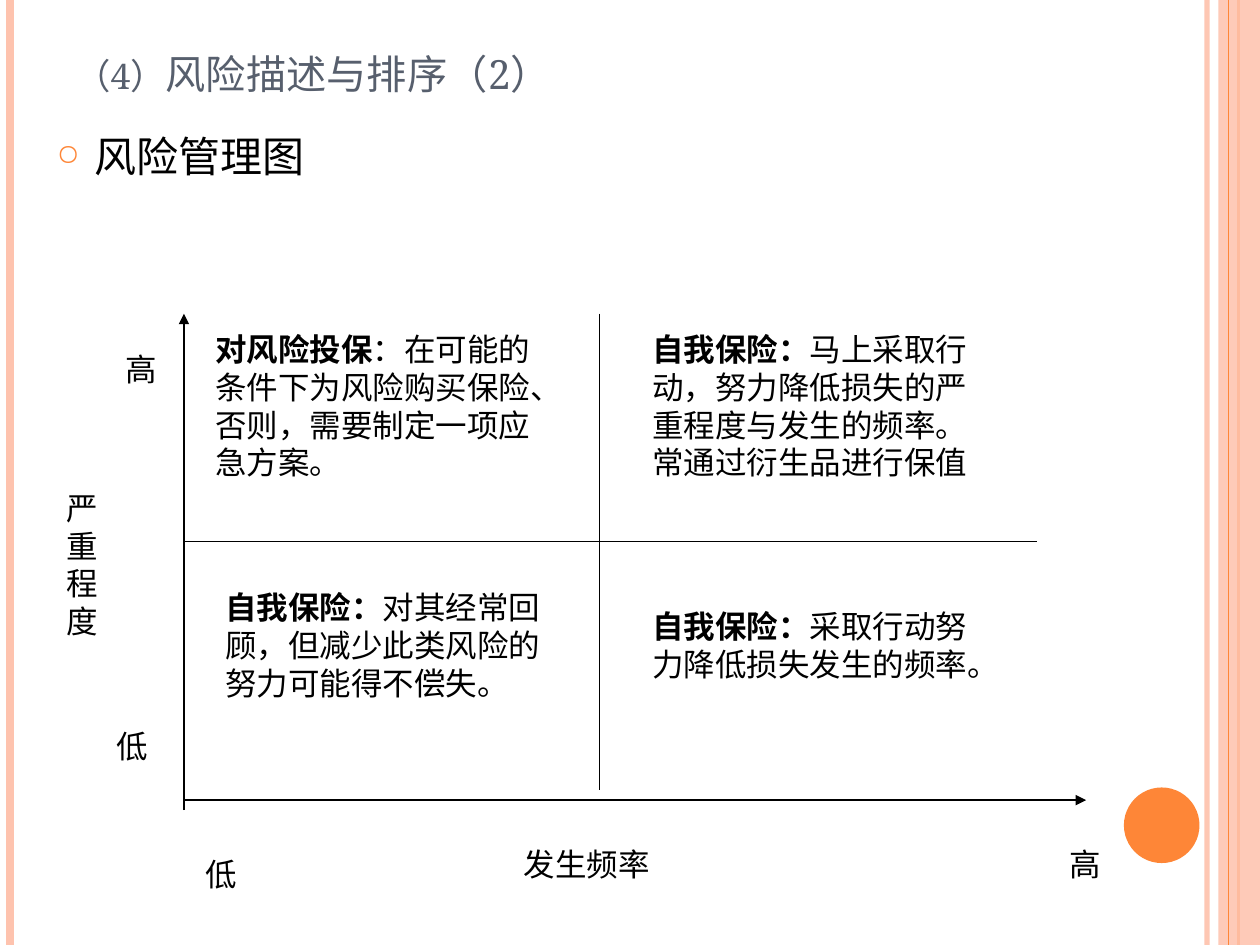
from dataclasses import dataclass
from lxml.etree import SubElement as Sub
from pptx import Presentation
from pptx.dml.color import RGBColor as Rgb
from pptx.enum.shapes import MSO_CONNECTOR as Link, MSO_SHAPE as Form
from pptx.enum.text import MSO_ANCHOR as Anchor, MSO_AUTO_SIZE as Fit
from pptx.oxml.ns import qn
from pptx.util import Inches, Pt


@dataclass(frozen=True)
class Theme:
    font: str = "Noto Serif"
    ink: str = "000000"
    head: str = "575F6D"
    bold: str = "FE8637"
    pale: str = "FEC3AE"
    small: float = 18
    large: float = 24
    lead: float = 25.2
    title: float = 28.8
    thin: float = 0.75


look = Theme()
WIDE, HIGH = 10, 7.5
COLS, ROWS = 100, 75

TITLE = [("（4）", look.lead), ("风险描述与排序（2）", look.title)]
TOPIC = "风险管理图"

LEFT, MID, BASE = 14.6, 47.6, 63.5
TOP, HALF = 24.9, 43

BARS = [
    (95.8, look.pale, 3, 93),
    (0.8, look.pale, 4.5, 100),
    (98.3, look.bold, 1.5, 100),
]
EDGE = (97.5, look.bold, look.thin, 100)
AXES = [
    (LEFT, BASE, 86.2, BASE, True),
    (LEFT, 64.3, LEFT, TOP, True),
    (LEFT, HALF, 82.3, HALF, False),
    (MID, TOP, MID, 62.7, False),
]
MARKS = [
    ("严重程度", 4.3, 38.3, 3.9, 13),
    ("高", 9, 27.3, 3.9, 4),
    ("低", 8.3, 57.2, 4.7, 4),
    ("发生频率", 40.6, 66.6, 13.4, 4),
    ("低", 15.3, 67.4, 11, 4),
    ("高", 83.9, 66.6, 3.9, 4),
]
CELLS = [
    ("对风险投保", "：在可能的条件下为风险购买保险、否则，需要制定一项应急方案。", 16.1, 25.7, 13),
    ("自我保险：", "对其经常回顾，但减少此类风险的努力可能得不偿失。", 16.9, 46.2, 10),
    ("自我保险：", "采取行动努力降低损失发生的频率。", 50.8, 47.7, 7),
    ("自我保险：", "马上采取行动，努力降低损失的严重程度与发生的频率。常通过衍生品进行保值", 50.8, 25.7, 13),
]
SPAN = 28.3

deck = Presentation()
deck.slide_width, deck.slide_height = Inches(WIDE), Inches(HIGH)
page = deck.slides.add_slide(deck.slide_layouts[6])


def place(x, y, w, h):
    return [Inches(n * size / count) for n, size, count in
            ((x, WIDE, COLS), (y, HIGH, ROWS), (w, WIDE, COLS), (h, HIGH, ROWS))]


def fade(part, alpha):
    if alpha < 100:
        tint = next(part.iter(qn("a:srgbClr")))
        Sub(tint, qn("a:alpha"), val=str(alpha * 1000))


def rule(x1, y1, x2, y2, color=look.ink, width=look.thin, alpha=100, arrow=False):
    link = page.shapes.add_connector(Link.STRAIGHT, *place(x1, y1, x2, y2))
    link.line.color.rgb = Rgb.from_string(color)
    link.line.width = Pt(width)
    props = link._element.spPr
    fade(props, alpha)
    if arrow:
        Sub(props.find(qn("a:ln")), qn("a:tailEnd"), type="triangle")
    Sub(props, qn("a:effectLst"))


def solid(form, box, color, alpha=100):
    shape = page.shapes.add_shape(form, *place(*box))
    shape.shadow.inherit = False
    shape.fill.solid()
    shape.fill.fore_color.rgb = Rgb.from_string(color)
    shape.line.fill.background()
    fade(shape._element.spPr, alpha)


def write(box, runs, size=look.small, color=look.ink, fit=Fit.NONE):
    frame = page.shapes.add_textbox(*place(*box)).text_frame
    frame.word_wrap = True
    frame.auto_size = fit
    para = frame.paragraphs[0]
    para.font.name, para.font.size = look.font, Pt(size)
    para.font.color.rgb = Rgb.from_string(color)
    for text in runs:
        para.add_run().text = text
    return frame, para


def bar(x, *style):
    rule(x, 0, x, ROWS, *style)


for item in BARS:
    bar(*item)
solid(Form.RECTANGLE, (96.7, 0, 3.3, ROWS), look.pale, 87)
bar(*EDGE)
solid(Form.OVAL, (89.2, 62.5, 6, 6), look.bold)

frame, para = write((5, 3, 90, 5.4), [text for text, _ in TITLE], look.title, look.head)
frame.vertical_anchor = Anchor.BOTTOM
for run, (_, size) in zip(para.runs, TITLE):
    run.font.size = Pt(size)
    run._r.get_or_add_rPr().set("cap", "small")

_, para = write((3.5, 9.9, 91.5, 62.2), [TOPIC], look.large)
para.space_before = Pt(6)
props = para._p.get_or_add_pPr()
props.set("marL", str(Inches(0.3)))
props.set("indent", str(-Inches(0.3)))
dot = [Sub(props, qn("a:buClr")), Sub(props, qn("a:buSzPct"), val="70000"),
       Sub(props, qn("a:buChar"), char="○")]
Sub(dot[0], qn("a:srgbClr"), val=look.bold)
for item in dot:
    props.find(qn("a:defRPr")).addprevious(item)

for *ends, arrow in AXES:
    rule(*ends, arrow=arrow)
for text, *box in MARKS:
    write(box, [text], fit=Fit.SHAPE_TO_FIT_TEXT)
for name, text, x, y, h in CELLS:
    _, para = write((x, y, SPAN, h), [name, text], fit=Fit.SHAPE_TO_FIT_TEXT)
    para.runs[0].font.bold = True

deck.save("out.pptx")
